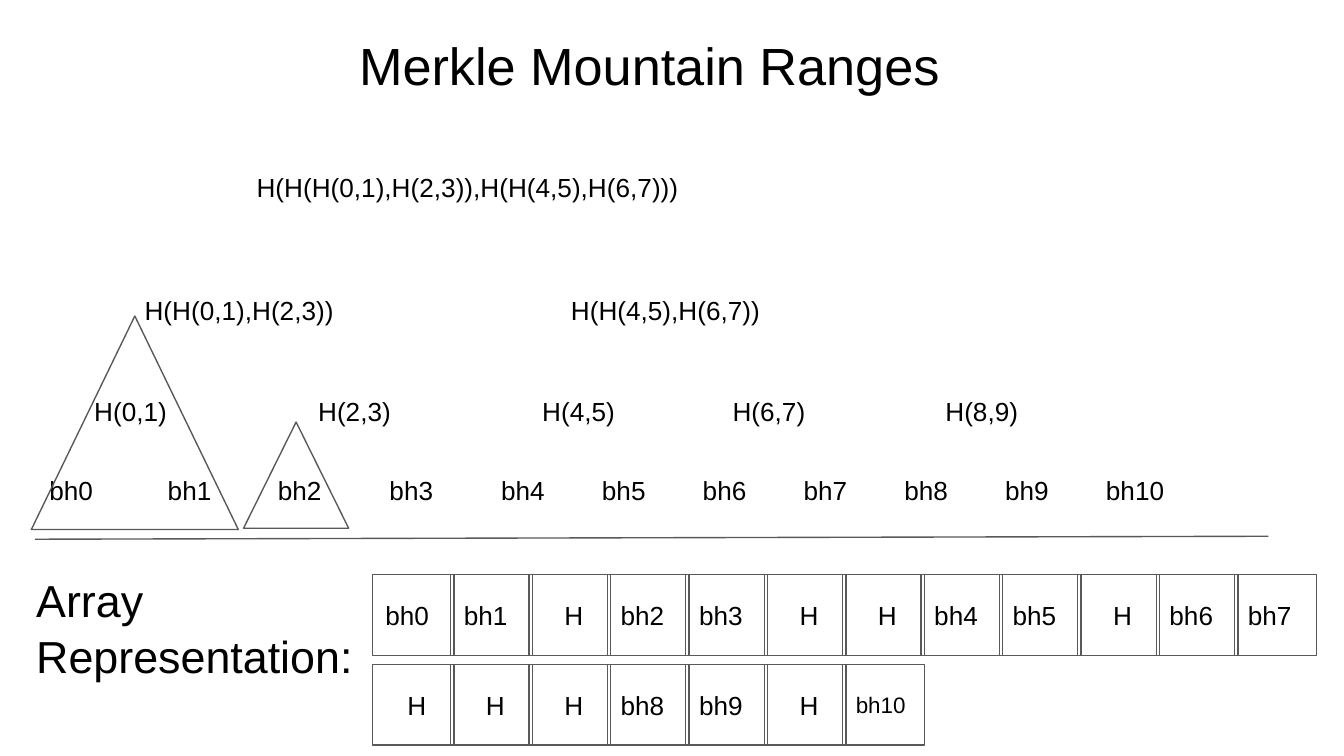
import pptx
import pptx.util
import pptx.dml.color
import pptx.enum.shapes
import pptx.enum.text
from lxml import etree
from pptx.util import Pt

FONT = "Arial"
BLACK = "000000"
GRAY = "595959"
INSET = 7.2
CELL_STEP = 42


def color(value):
    return pptx.dml.color.RGBColor.from_string(value)


def write(sp, text, size=14, align="LEFT", anchor="TOP", left_inset=INSET, spacing=1):
    tf = sp.text_frame
    tf.word_wrap = True
    tf.auto_size = pptx.enum.text.MSO_AUTO_SIZE.NONE
    tf.vertical_anchor = pptx.enum.text.MSO_ANCHOR[anchor]
    tf.margin_left = Pt(left_inset)
    tf.margin_top = tf.margin_right = tf.margin_bottom = Pt(INSET)
    p = tf.paragraphs[0]
    p.text = text
    p.alignment = pptx.enum.text.PP_ALIGN[align]
    p.line_spacing = spacing
    p.font.name = FONT
    p.font.size = Pt(size)
    p.font.color.rgb = color(BLACK)


def add_title(s, text):
    sp = s.shapes.title
    sp.left, sp.top, sp.width, sp.height = Pt(12.3), Pt(10.8), Pt(671), Pt(45.4)
    write(sp, text, 28, "CENTER")


def add_label(s, text, x, y, w=59.4, h=31.7, size=14, spacing=1):
    sp = s.shapes.add_textbox(Pt(x), Pt(y), Pt(w), Pt(h))
    write(sp, text, size, spacing=spacing)


def add_outline(s, kind, x, y, w, h):
    shape_type = pptx.enum.shapes.MSO_SHAPE[kind]
    sp = s.shapes.add_shape(shape_type, Pt(x), Pt(y), Pt(w), Pt(h))
    sp.shadow.inherit = False
    sp.fill.background()
    sp.line.color.rgb = color(GRAY)
    sp.line.width = Pt(0.75)
    return sp


def add_cells(s, names, x, y):
    for i, name in enumerate(names):
        sp = add_outline(s, "RECTANGLE", x + i * CELL_STEP, y, 43.8, 43.2)
        # Hash cells are set further in than block headers
        left_inset = 18.9 if name == "H" else INSET
        size = 12 if name == "bh10" else 14
        write(sp, name, size, anchor="MIDDLE", left_inset=left_inset)


def add_line(s, x1, y1, x2, y2):
    straight = pptx.enum.shapes.MSO_CONNECTOR.STRAIGHT
    line = s.shapes.add_connector(straight, Pt(x1), Pt(y1), Pt(x2), Pt(y2))
    line.line.color.rgb = color(GRAY)
    line.line.width = Pt(0.75)
    etree.SubElement(line._element.spPr, pptx.oxml.ns.qn("a:effectLst"))


def main():
    prs = pptx.Presentation()
    prs.slide_width, prs.slide_height = Pt(720), Pt(405)
    s = prs.slides.add_slide(prs.slide_layouts[5])
    add_title(s, "Merkle Mountain Ranges")

    # Leaves: four wide gaps, then an even step
    leaf_lefts = [19.4, 82.8, 141.8, 201.6] + [261.4 + 54 * i for i in range(7)]
    for i, x in enumerate(leaf_lefts):
        add_label(s, f"bh{i}", x, 247)

    # Hashes of leaf pairs
    for i, x in enumerate([43.4, 163.4, 283.4, 385.4, 499.4]):
        add_label(s, f"H({2 * i},{2 * i + 1})", x, 204.5)

    # Upper levels of the mountain
    add_label(s, "H(H(0,1),H(2,3))", 70.4, 150.5, w=127.4)
    add_label(s, "H(H(4,5),H(6,7))", 298.8, 150.5, w=127.4)
    add_label(s, "H(H(H(0,1),H(2,3)),H(H(4,5),H(6,7)))", 130.4, 84.7, w=244)

    # Array representation
    add_label(s, "Array Representation:", 12.3, 298, 203, 105, 24, 1.05)
    add_cells(s, "bh0 bh1 H bh2 bh3 H H bh4 bh5 H bh6 bh7".split(), 199.4, 307.9)
    add_cells(s, "H H H bh8 bh9 H bh10".split(), 199.4, 356)

    # Ground line and peaks
    add_line(s, 18.7, 288.9, 679.5, 287.3)
    add_outline(s, "ISOSCELES_TRIANGLE", 16.8, 169.3, 110.9, 114.4)
    add_outline(s, "ISOSCELES_TRIANGLE", 130.5, 226.1, 56.3, 56.9)

    prs.save("out.pptx")


if __name__ == "__main__":
    main()
